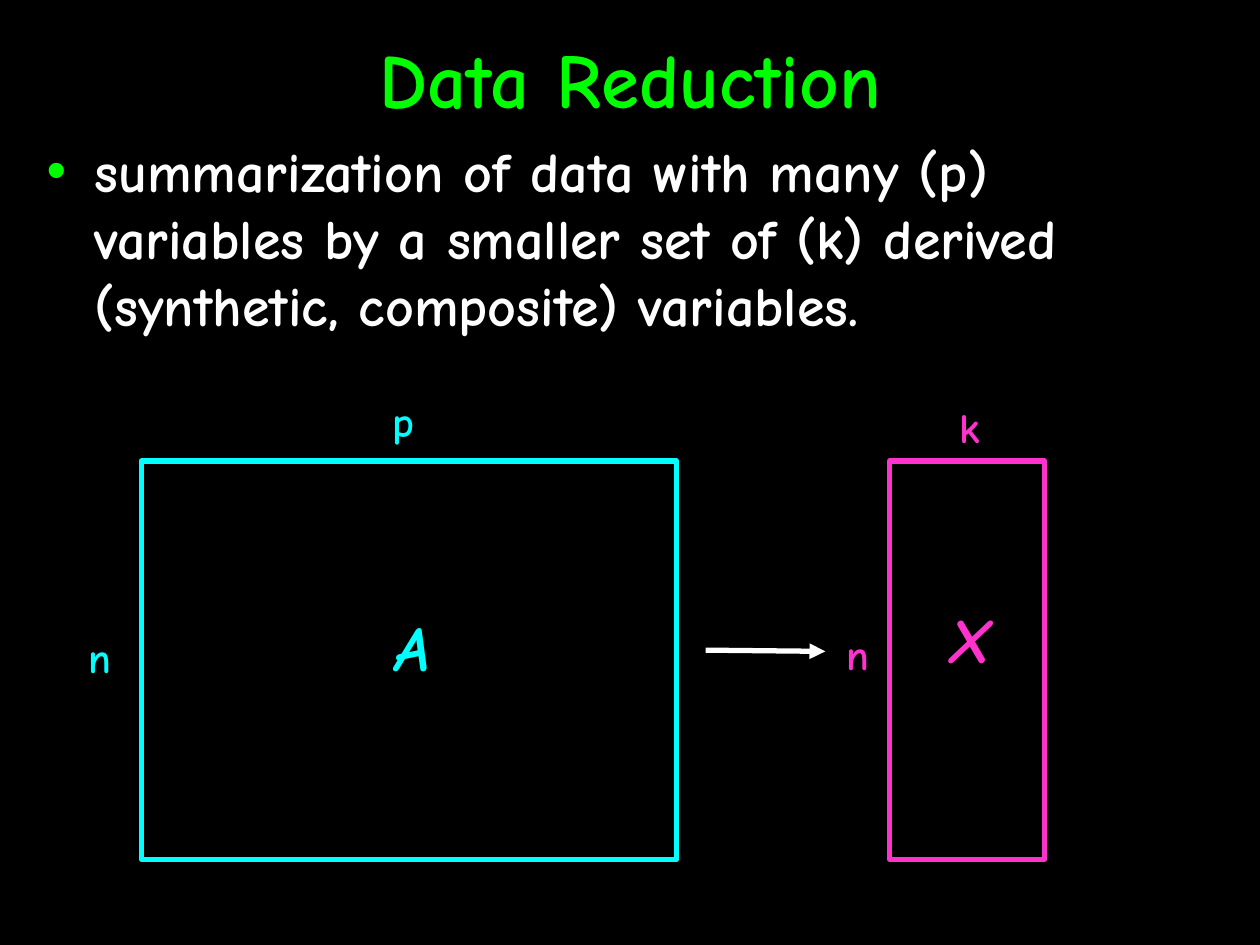
import pptx
import pptx.dml.color
import pptx.enum.dml
import pptx.enum.shapes
import pptx.enum.text
import pptx.oxml
import pptx.oxml.ns
import pptx.util
from pptx.util import Inches

COLORS = {
    "background": "000000",
    "heading": "00FF00",
    "text": "FFFFFF",
    "data": "00FFFF",
    "reduced": "FF33CC",
}
FONT = "Comic Neue"
FORMATS = {
    "title": {"size": pptx.util.Pt(44), "bold": True},
    "body": {"size": pptx.util.Pt(32), "bold": True},
    "dimension": {"size": pptx.util.Pt(24), "bold": True},
    "matrix": {"size": pptx.util.Pt(36), "bold": True, "italic": True},
}
LINE_WIDTH = pptx.util.Pt(3)


def rgb(name):
    """Return the named colour."""
    return pptx.dml.color.RGBColor.from_string(COLORS[name])


def place(shape, box):
    """Move a shape to a box of left, top, width and height in inches."""
    for attribute, value in zip(("left", "top", "width", "height"), box):
        setattr(shape, attribute, Inches(value))


def write(paragraph, text, style, color):
    """Add a formatted run to a paragraph."""
    run = paragraph.add_run()
    run.text = text
    run.font.name = FONT
    run.font.color.rgb = rgb(color)
    for attribute, value in FORMATS[style].items():
        setattr(run.font, attribute, value)


def add_xml(parent, tag, **attributes):
    """Append a DrawingML element to a parent."""
    element = pptx.oxml.parse_xml(f"<{tag} {pptx.oxml.ns.nsdecls('a')}/>")
    for name, value in attributes.items():
        element.set(name, value)
    parent.append(element)
    return element


def fill_title(shape, box, text):
    """Place and write the slide title."""
    place(shape, box)
    frame = shape.text_frame
    frame.auto_size = pptx.enum.text.MSO_AUTO_SIZE.NONE
    frame.vertical_anchor = pptx.enum.text.MSO_ANCHOR.MIDDLE
    paragraph = frame.paragraphs[0]
    paragraph.alignment = pptx.enum.text.PP_ALIGN.CENTER
    write(paragraph, text, "title", "heading")


def fill_body(shape, box, text):
    """Place and write the bulleted definition."""
    place(shape, box)
    shape.text_frame.auto_size = pptx.enum.text.MSO_AUTO_SIZE.NONE
    paragraph = shape.text_frame.paragraphs[0]
    paragraph.space_before = pptx.util.Pt(20)
    write(paragraph, text, "body", "text")
    properties = paragraph._p.get_or_add_pPr()
    properties.set("marL", str(Inches(0.38)))
    properties.set("indent", str(Inches(-0.38)))
    bullet_color = add_xml(properties, "a:buClr")
    add_xml(bullet_color, "a:srgbClr", val=COLORS["heading"])
    add_xml(properties, "a:buChar", char="•")


def add_label(shapes, box, text, style, color):
    """Add a centred, unwrapped label."""
    label = shapes.add_textbox(*map(Inches, box))
    frame = label.text_frame
    frame.word_wrap = False
    frame.auto_size = pptx.enum.text.MSO_AUTO_SIZE.SHAPE_TO_FIT_TEXT
    paragraph = frame.paragraphs[0]
    paragraph.alignment = pptx.enum.text.PP_ALIGN.CENTER
    write(paragraph, text, style, color)


def add_matrix(slide, box, color, labels):
    """Add an outlined matrix grouped with labels offset from its corner."""
    left, top = box[:2]
    group = slide.shapes.add_group_shape()
    rectangle = group.shapes.add_shape(
        pptx.enum.shapes.MSO_SHAPE.RECTANGLE, *map(Inches, box)
    )
    rectangle.shadow.inherit = False
    rectangle.fill.background()
    rectangle.line.color.rgb = rgb(color)
    rectangle.line.width = LINE_WIDTH
    for text, style, across, down, width, height in labels:
        label_box = (left + across, top + down, width, height)
        add_label(group.shapes, label_box, text, style, color)


def add_arrow(slide, start, end):
    """Add the arrow from the data to the reduced matrix."""
    connector = slide.shapes.add_connector(
        pptx.enum.shapes.MSO_CONNECTOR.STRAIGHT, *map(Inches, start + end)
    )
    connector.line.color.rgb = rgb("text")
    connector.line.width = LINE_WIDTH
    add_xml(connector.line._get_or_add_ln(), "a:tailEnd", type="triangle")
    add_xml(connector._element.spPr, "a:effectLst")


def main():
    """Build and save the data reduction slide."""
    presentation = pptx.Presentation()
    presentation.slide_width = Inches(10)
    presentation.slide_height = Inches(7.5)
    slide = presentation.slides.add_slide(presentation.slide_layouts[1])
    slide.background.fill.solid()
    slide.background.fill.fore_color.rgb = rgb("background")

    fill_title(slide.shapes.title, (0.1, -0.01, 9.81, 1.25), "Data Reduction")
    fill_body(
        slide.placeholders[1],
        (0.27, 1.03, 9.46, 1.72),
        "summarization of data with many (p) variables by a smaller set of "
        "(k) derived (synthetic, composite) variables.",
    )
    add_arrow(slide, (5.6, 5.16), (6.55, 5.17))
    add_matrix(slide, (1.12, 3.66, 4.25, 3.16), "data", [
        ("n", "dimension", -0.52, 1.3, 0.38, 0.5),
        ("p", "dimension", 1.9, -0.57, 0.37, 0.5),
        ("A", "matrix", 1.92, 1.12, 0.47, 0.7),
    ])
    add_matrix(slide, (7.06, 3.66, 1.23, 3.16), "reduced", [
        ("n", "dimension", -0.44, 1.28, 0.38, 0.5),
        ("k", "dimension", 0.46, -0.52, 0.36, 0.5),
        ("X", "matrix", 0.38, 1.06, 0.51, 0.7),
    ])
    presentation.save("out.pptx")


if __name__ == "__main__":
    main()
